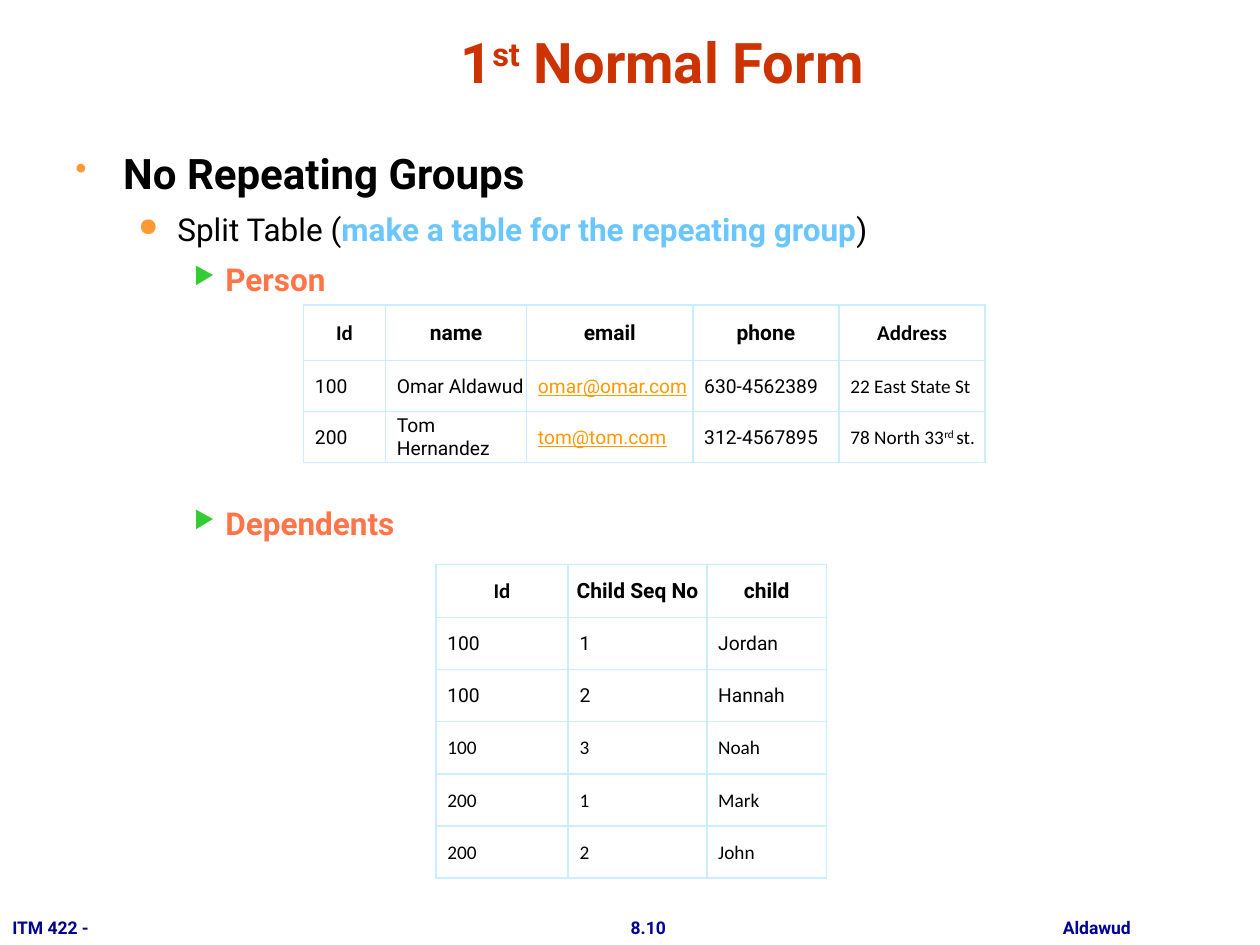
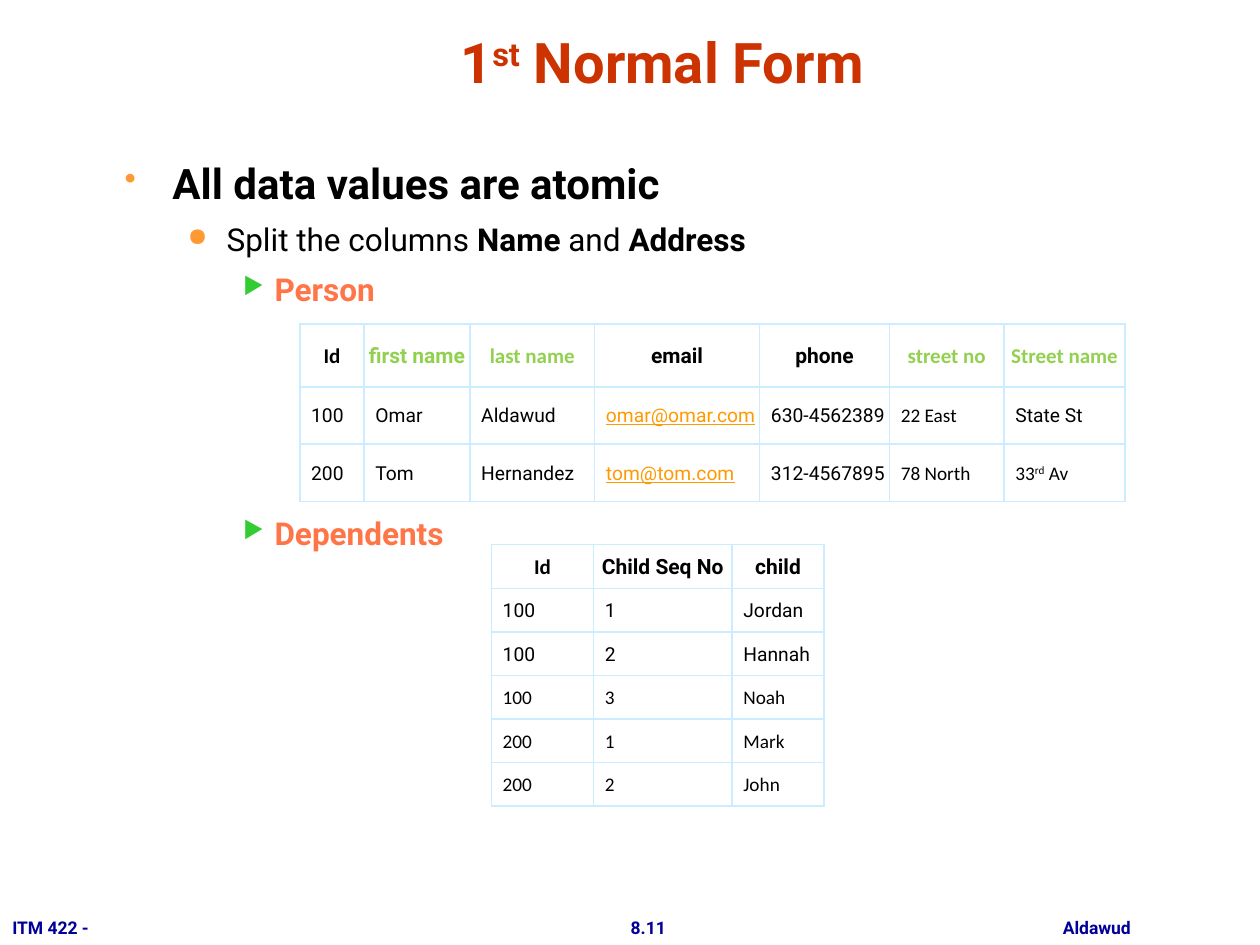
from lxml.etree import SubElement as Sub
from pptx import Presentation
from pptx.dml.color import RGBColor as RGB
from pptx.enum.text import MSO_ANCHOR as Anchor, PP_ALIGN as Align
from pptx.oxml import parse_xml
from pptx.oxml.ns import qn
from pptx.util import Inches, Pt

BLACK = RGB(0x00, 0x00, 0x00)
WHITE = RGB(0xFF, 0xFF, 0xFF)
NAVY = RGB(0x00, 0x00, 0x99)
RUST = RGB(0xCC, 0x33, 0x00)
AMBER = RGB(0xFF, 0x99, 0x33)
GREEN = RGB(0x33, 0xCC, 0x33)
CORAL = RGB(0xFF, 0x75, 0x47)
SKY = RGB(0x6A, 0xC6, 0xFF)
LIME = RGB(0x92, 0xD0, 0x50)
MAIL = RGB(0xFF, 0x99, 0x00)
EDGE = RGB(0xCC, 0xEC, 0xFF)

NS = "http://schemas.openxmlformats.org/drawingml/2006/main"
GAP = 7
SKIP = 118
LEVELS = [
    dict(level=0, size=24, bold=True, left=0.38, hang=0.38, mark="•", tint=AMBER, scale=80),
    dict(level=1, size=18, bold=False, left=0.81, hang=0.31, mark="●", tint=AMBER, scale=80),
    dict(level=2, size=18, bold=True, left=1.19, hang=0.25, mark="▶", tint=GREEN, scale=75),
]


def run(text, **style):
    return text, style


def cal(text, **style):
    return run(text, font="Calibri", **style)


def mail(text):
    return run(text, color=MAIL, line=True)


class Deck:
    def __init__(self):
        self.show = Presentation()
        self.show.slide_width = Inches(10)
        self.show.slide_height = Inches(7.5)
        self.slide = None

    def page(self, number):
        self.slide = self.show.slides.add_slide(self.show.slide_layouts[6])
        self.slide.background.fill.solid()
        self.slide.background.fill.fore_color.rgb = WHITE
        for left, width, text, align in [
            (8.31, 0.79, "Aldawud", Align.CENTER),
            (4.9, 0.49, number, Align.CENTER),
            (0, 0.84, "ITM 422 -", Align.LEFT),
        ]:
            frame = self.box(left, 7.23, width, 0.27, wrap=False)
            self.put(frame.paragraphs[0], [text], align, size=10, color=NAVY, bold=True)
        self.title([run("1"), run("st", raised=True), run(" Normal Form")])

    def box(self, left, top, width, height, wrap=True):
        shape = self.slide.shapes.add_textbox(
            Inches(left), Inches(top), Inches(width), Inches(height))
        shape.text_frame.word_wrap = wrap
        return shape.text_frame

    def put(self, para, runs, align=Align.LEFT, **base):
        para.alignment = align
        for item in runs:
            text, style = (item, {}) if isinstance(item, str) else item
            self.add_run(para, text, **{**base, **style})

    def add_run(self, para, text, size, bold=False, color=BLACK, font="Roboto",
                line=False, raised=False):
        piece = para.add_run()
        piece.text = text
        piece.font.size = Pt(size)
        piece.font.bold = bold
        piece.font.name = font
        piece.font.color.rgb = color
        piece.font.underline = line
        if raised:
            piece._r.get_or_add_rPr().set("baseline", "30000")

    def title(self, runs):
        frame = self.box(0.84, 0.13, 8.83, 0.67)
        frame.vertical_anchor = Anchor.BOTTOM
        self.put(frame.paragraphs[0], runs, Align.CENTER, size=32, color=RUST, bold=True)

    def body(self, place, head, split):
        frame = self.box(*place)
        lines = [
            (0, [head], 0),
            (1, split, GAP),
            (2, [run("Person", color=CORAL)], GAP),
            (2, [run("Dependents", color=CORAL)], SKIP),
        ]
        for index, (depth, runs, gap) in enumerate(lines):
            para = frame.add_paragraph() if index else frame.paragraphs[0]
            look = LEVELS[depth]
            para.level = look["level"]
            para.space_before = Pt(gap)
            self.bullet(para, look)
            self.put(para, runs, size=look["size"], bold=look["bold"])

    def bullet(self, para, look):
        props = para._p.get_or_add_pPr()
        props.set("marL", str(Inches(look["left"])))
        props.set("indent", str(-Inches(look["hang"])))
        tint = Sub(props, qn("a:buClr"))
        Sub(tint, qn("a:srgbClr"), val=str(look["tint"]))
        Sub(props, qn("a:buSzPct"), val=str(look["scale"] * 1000))
        Sub(props, qn("a:buChar"), char=look["mark"])

    def table(self, left, top, height, first, widths, rows):
        grid = self.slide.shapes.add_table(
            len(rows), len(widths), Inches(left), Inches(top),
            Inches(sum(widths)), Inches(height)).table
        grid.first_row = grid.horz_banding = False
        for col, width in zip(grid.columns, widths):
            col.width = Inches(width)
        rest = (height - first) / (len(rows) - 1)
        for r, row in enumerate(rows):
            grid.rows[r].height = Inches(rest if r else first)
            for c, item in enumerate(row):
                self.cell(grid.cell(r, c), item, head=r == 0)

    def cell(self, cell, item, head):
        cell.fill.solid()
        cell.fill.fore_color.rgb = WHITE
        cell.vertical_anchor = Anchor.MIDDLE
        cell.margin_left = Inches(0.01 if head else 0.09)
        cell.margin_right = cell.margin_top = Inches(0.01)
        cell.margin_bottom = 0
        props = cell._tc.get_or_add_tcPr()
        for spot, side in enumerate("LRTB"):
            props.insert(spot, parse_xml(
                f'<a:ln{side} xmlns:a="{NS}" w="{Pt(1)}"><a:solidFill>'
                f'<a:srgbClr val="{EDGE}"/></a:solidFill></a:ln{side}>'))
        runs = item if isinstance(item, list) else [item]
        align = Align.CENTER if head else Align.LEFT
        self.put(cell.text_frame.paragraphs[0], runs, align,
                 size=12 if head else 11, bold=head)


KIDS = [
    [cal("Id"), "Child Seq No", "child"],
    ["100", "1", "Jordan"],
    ["100", "2", "Hannah"],
    [cal("100"), cal("3"), cal("Noah")],
    [cal("200"), cal("1"), cal("Mark")],
    [cal("200"), cal("2"), cal("John")],
]
PEOPLE = [
    [cal("Id"), "name", "email", "phone", cal("Address")],
    ["100", "Omar Aldawud", mail("omar@omar.com"), "630-4562389", cal("22 East State St")],
    ["200", "Tom Hernandez", mail("tom@tom.com"), "312-4567895",
     [cal("78 North 33"), cal("rd ", raised=True), cal("st.")]],
]
ATOMS = [
    [cal("Id"), run("first name", color=LIME), cal("last name", color=LIME), "email", "phone",
     cal("street no", color=LIME), cal("Street name", color=LIME)],
    ["100", "Omar", "Aldawud", mail("omar@omar.com"), "630-4562389", cal("22 East"), "State St"],
    ["200", "Tom", "Hernandez", mail("tom@tom.com"), "312-4567895", cal("78 North"),
     [cal("33"), cal("rd", raised=True), cal(" Av")]],
]


def main():
    deck = Deck()

    deck.page("8.10")
    deck.body((0.5, 1.12, 9, 5.58), "No Repeating Groups", [
        "Split Table (",
        run("make a table for the repeating group", color=SKY, bold=True),
        ")",
    ])
    deck.table(2.41, 2.42, 1.25, 0.44, [0.65, 1.12, 1.32, 1.16, 1.16], PEOPLE)
    deck.table(3.46, 4.48, 2.49, 0.42, [1.05, 1.1, 0.95], KIDS)

    deck.page("8.11")
    deck.body((0.89, 1.2, 8.38, 5.36), "All data values are atomic", [
        "Split the columns ", run("Name", bold=True), " and ", run("Address", bold=True),
    ])
    deck.table(2.38, 2.57, 1.41, 0.5, [0.51, 0.84, 0.99, 1.31, 1.03, 0.91, 0.96], ATOMS)
    deck.table(3.9, 4.32, 2.08, 0.35, [0.81, 1.1, 0.73], KIDS)

    deck.show.save("out.pptx")


if __name__ == "__main__":
    main()
